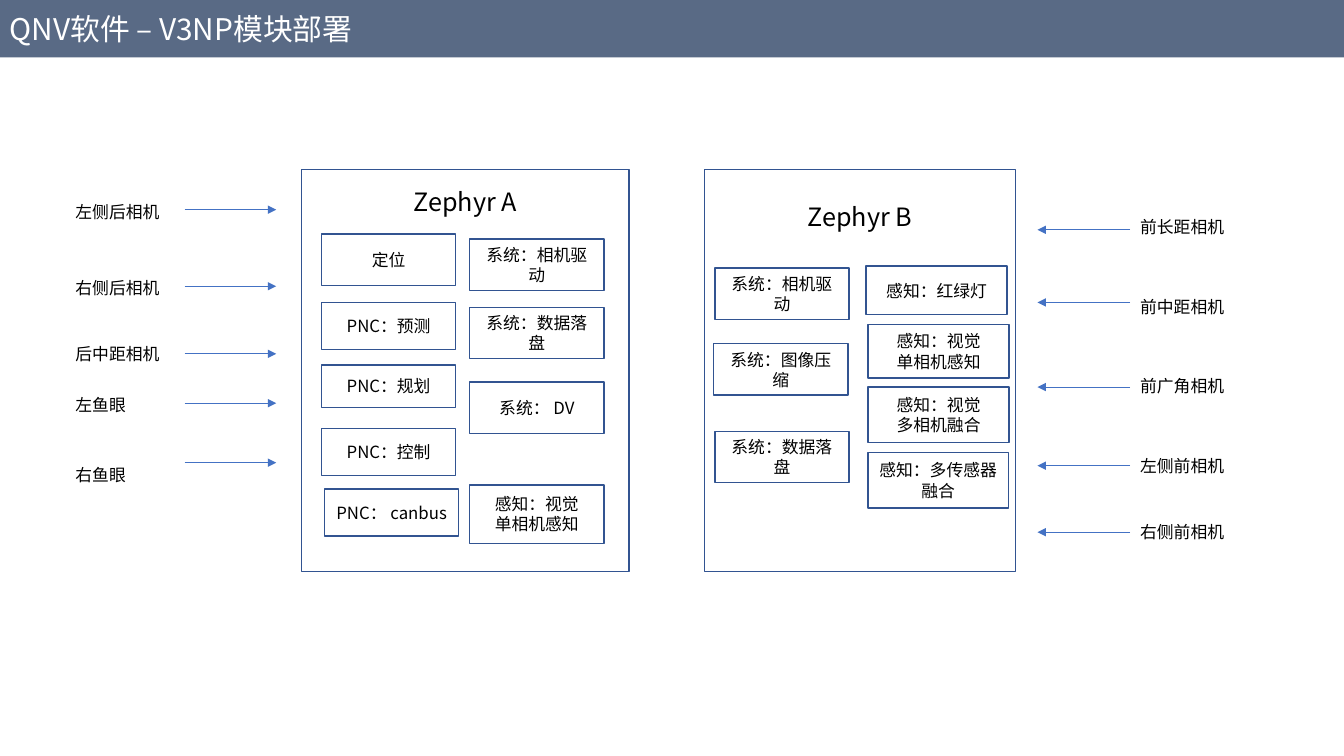
from pptx import Presentation
from pptx.dml.color import RGBColor as RGB
from pptx.enum.shapes import MSO_CONNECTOR as Link, MSO_SHAPE as Kind
from pptx.enum.text import MSO_ANCHOR as Anchor, PP_ALIGN as Align
from pptx.oxml.ns import qn
from pptx.util import Emu, Pt
from lxml.etree import SubElement as Sub

PX = 9144
NOTO = "Noto Sans CJK SC"
EDGE = "325491"
BLUE = "4472C4"


def color(code):
    return RGB.from_string(code)


def write(words, box, kind=None, fill=None, line=None, size=12, font=NOTO,
          ink="000000", align=Align.CENTER, anchor=Anchor.MIDDLE, top=5, wrap=True):
    area = [Emu(n * PX) for n in box]
    if kind is None:
        item = slide.shapes.add_textbox(*area)
    else:
        item = slide.shapes.add_shape(kind, *area)
        item.shadow.inherit = False
        item.fill.background()
        item.line.fill.background()
    if fill:
        item.fill.solid()
        item.fill.fore_color.rgb = color(fill)
    if line:
        item.line.color.rgb = color(line)
        item.line.width = Pt(1)
    frame = item.text_frame
    frame.word_wrap = wrap
    frame.vertical_anchor = anchor
    frame.margin_top = Emu(top * PX)
    frame.text = words
    for para in frame.paragraphs:
        para.alignment = align
        for run in para.runs:
            run.font.size = Pt(size)
            run.font.color.rgb = color(ink)
            run.font.name = font
            Sub(run.font._element, qn("a:ea")).set("typeface", NOTO)


deck = Presentation()
deck.slide_width = Emu(1333 * PX)
deck.slide_height = Emu(750 * PX)
slide = deck.slides.add_slide(deck.slide_layouts[6])

panels = [("Zephyr B", 699, 308, 32), ("Zephyr A", 299, 325, 17)]
for name, x, wide, top in panels:
    write(name, (x, 168, wide, 399), kind=Kind.RECTANGLE, line=EDGE,
          size=18, anchor=Anchor.TOP, top=top)

sides = [
    (65, 183, 274, [
        ("左侧后相机", 195, 208), ("右侧后相机", 271, 284), ("后中距相机", 336, 351),
        ("左鱼眼", 387, 400), ("右鱼眼", 456, 459)]),
    (1121, 1121, 1029, [
        ("前长距相机", 210, 228), ("前中距相机", 289, 300), ("前广角相机", 368, 384),
        ("左侧前相机", 447, 462), ("右侧前相机", 513, 528)]),
]
for left, start, end, rows in sides:
    for name, y, mid in rows:
        ends = [Emu(n * PX) for n in (start, mid, end, mid)]
        arrow = slide.shapes.add_connector(Link.STRAIGHT, *ends)
        arrow.line.color.rgb = color(BLUE)
        arrow.line.width = Pt(0.5)
        Sub(arrow.line._get_or_add_ln(), qn("a:tailEnd")).set("type", "triangle")
        Sub(arrow._element.spPr, qn("a:effectLst"))
        write(name, (left, y, 20 + 17 * len(name), 30), font="Calibri",
              align=Align.LEFT, anchor=Anchor.TOP, wrap=False)

parts = [
    ("定位", 319, 232, 133, 51),
    ("PNC：预测", 319, 300, 133, 47),
    ("PNC：规划", 319, 362, 133, 42),
    ("PNC：控制", 319, 425, 133, 47),
    ("PNC： canbus", 322, 485, 133, 47),
    ("系统：相机驱动", 466, 237, 133, 51),
    ("系统：数据落盘", 466, 305, 133, 51),
    ("系统： DV", 466, 379, 133, 51),
    ("感知：视觉\n单相机感知", 466, 481, 133, 58),
    ("系统：相机驱动", 709, 266, 133, 51),
    ("系统：图像压缩", 708, 341, 133, 51),
    ("系统：数据落盘", 709, 428, 133, 51),
    ("感知：红绿灯", 859, 264, 140, 48),
    ("感知：视觉\n单相机感知", 861, 322, 140, 53),
    ("感知：视觉\n多相机融合", 861, 384, 140, 55),
    ("感知：多传感器\n融合", 861, 449, 139, 55),
]
for name, *box in parts:
    write(name, box, kind=Kind.RECTANGLE, line=EDGE)

write("QNV软件 – V3NP模块部署", (0, 0, 1333, 57), kind=Kind.RECTANGLE,
      fill="596A85", size=21.3, ink="FFFFFF", align=Align.LEFT)

deck.save("out.pptx")
